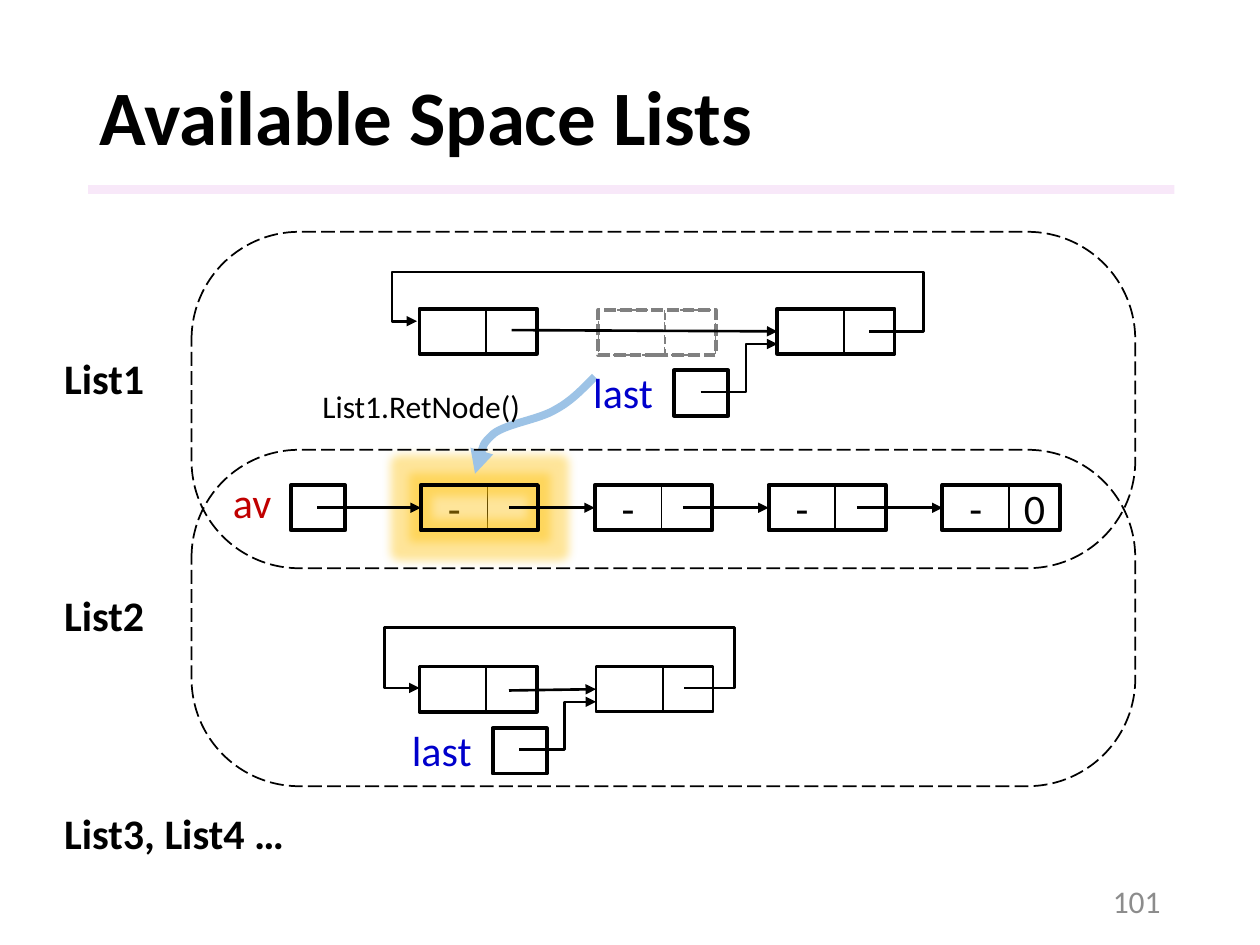
from lxml import etree
from pptx import Presentation
from pptx import util as u
from pptx.dml import color, line as dml
from pptx.enum import dml as kinds, shapes, text
from pptx.oxml import ns

DASH = kinds.MSO_LINE
SHAPE = shapes.MSO_SHAPE
ALIGN = text.PP_ALIGN
MID = text.MSO_ANCHOR.MIDDLE
CELL_H, DATA_W, LINK_W = 0.36, 0.53, 0.4
NODE_W = DATA_W + LINK_W


def rgb(code):
    return color.RGBColor.from_string(code)


def add(parent, tag, **attrs):
    return etree.SubElement(parent, ns.qn(tag), attrs)


def ink(line, hue, width, dash=None):
    line.color.rgb = rgb(hue)
    line.width = u.Pt(width)
    if dash:
        line.dash_style = dash


def head(shape):
    """Put an arrowhead at the end of a line or open path."""
    add(shape.line._get_or_add_ln(), "a:tailEnd", type="triangle")


def write(frame, words, size=24, hue="000000", bold=False, align=ALIGN.LEFT,
          anchor=text.MSO_ANCHOR.TOP, wrap=False, gap=None):
    frame.word_wrap = wrap
    frame.vertical_anchor = anchor
    para = frame.paragraphs[0]
    para.alignment = align
    para.line_spacing = gap
    run = para.add_run()
    run.text = words
    font = run.font
    font.name, font.size, font.bold = "Calibri", u.Pt(size), bold
    font.color.rgb = rgb(hue)


def label(slide, words, x, y, w, h=0.5, **style):
    box = slide.shapes.add_textbox(*map(u.Inches, (x, y, w, h)))
    write(box.text_frame, words, **style)


def box(slide, x, y, w, h, fill=None, hue="000000", width=None, dash=None,
        kind=SHAPE.RECTANGLE):
    shape = slide.shapes.add_shape(kind, *map(u.Inches, (x, y, w, h)))
    shape.shadow.inherit = False
    if fill:
        shape.fill.solid()
        shape.fill.fore_color.rgb = rgb(fill)
    else:
        shape.fill.background()
    if width:
        ink(shape.line, hue, width, dash)
    else:
        shape.line.fill.background()
    return shape


def node(slide, x, y, data="", link="", hue="000000", width=2.25,
         inner=None, outer=None):
    """Draw a data cell and a link cell; return the frame around them."""
    cells = ((x, DATA_W, data), (x + DATA_W, LINK_W, link))
    for left, wide, words in cells:
        cell = box(slide, left, y, wide, CELL_H, "FFFFFF", hue, 1, inner)
        if words:
            frame = cell.text_frame
            frame.margin_top = frame.margin_bottom = 0
            frame.margin_left = frame.margin_right = 0
            write(frame, words, align=ALIGN.CENTER, anchor=MID)
    return box(slide, x, y, NODE_W, CELL_H, None, hue, width, outer)


def start(slide, x, y):
    """Draw the single cell of a list pointer."""
    return box(slide, x, y, 0.43, CELL_H, width=2.25)


def arrow(slide, x, y, goal):
    """Draw an arrow from a point to the left side of a node."""
    x, y = u.Inches(x), u.Inches(y)
    line = slide.shapes.add_connector(shapes.MSO_CONNECTOR.STRAIGHT,
                                      x, y, goal.left, y)
    line.end_connect(goal, 1)
    ink(line.line, "000000", 1.5)
    head(line)
    add(line._element.spPr, "a:effectLst")


def route(slide, points, hue="000000", width=1.5, curve=False):
    """Draw an arrow through points, or as Bezier arcs if curve is set."""
    first, *rest = [(u.Inches(x), u.Inches(y)) for x, y in points]
    maker = slide.shapes.build_freeform(*first)
    maker.add_line_segments(rest, close=False)
    shape = maker.convert_to_shape()
    shape.shadow.inherit = False
    shape.fill.background()
    ink(shape.line, hue, width)
    head(shape)
    if curve:
        track = shape._element.spPr.find(".//" + ns.qn("a:path"))
        steps = track.findall(ns.qn("a:lnTo"))
        for i in range(0, len(steps), 3):
            arc = add(track, "a:cubicBezTo")
            for step in steps[i:i + 3]:
                arc.append(step[0])
                track.remove(step)


def tint(parent, hue, alpha):
    paint = add(parent, "a:srgbClr", val=hue)
    add(paint, "a:alpha", val=str(alpha * 1000))


def glow(shape):
    effects = shape._element.spPr.find(ns.qn("a:effectLst"))
    tint(add(effects, "a:glow", rad="139700"), "FFC000", 40)


def heading(slide):
    rule = box(slide, 0.7, 1.47, 8.62, 0.07, "F3D2F4")
    paint = rule._element.spPr.find(".//" + ns.qn("a:srgbClr"))
    add(paint, "a:alpha", val="50000")
    label(slide, "Available Space Lists", 0.69, 0.4, 8.62, 1.11, size=44,
          bold=True, anchor=MID, wrap=True, gap=0.9)
    label(slide, "101", 7.06, 6.95, 2.25, 0.4, size=18, hue="8C8C8C",
          align=ALIGN.RIGHT, anchor=MID, wrap=True)
    for words, y, w in (("List1", 2.75, 0.85), ("List2", 4.63, 0.85),
                        ("List3, List4 …", 6.36, 1.99)):
        label(slide, words, 0.41, y, w, bold=True)


def free_list(slide):
    top = 3.85
    start(slide, 2.31, top)
    chain = [node(slide, 3.34 + 1.38 * i, top, "-", "0" if i == 3 else "")
             for i in range(4)]
    glow(chain[0])
    arrow(slide, 2.52, top + CELL_H / 2, chain[0])
    for i, goal in enumerate(chain[1:]):
        arrow(slide, 4.04 + 1.38 * i, top + CELL_H / 2, goal)
    label(slide, "av", 1.75, 3.73, 0.51, hue="C00000")


def last(slide, x, y):
    """Draw the last pointer, its name and its arrow."""
    label(slide, "last", x - 0.74, y - 0.08, 0.68, hue="0000CC")
    start(slide, x, y)
    x, y = x + 0.21, y + 0.17
    route(slide, [(x, y), (x + 0.36, y), (x + 0.36, y - 0.38),
                  (x + 0.61, y - 0.38)])


def list_one(slide):
    route(slide, [(4.72, 2.99), (4.63, 3.08), (4.54, 3.18), (4.41, 3.25),
                  (4.28, 3.33), (4.03, 3.36), (3.92, 3.44),
                  (3.82, 3.53), (3.8, 3.65), (3.77, 3.76)],
          "9DC3E6", 4.5, curve=True)
    label(slide, "List1.RetNode()", 2.46, 3.02, 1.79, 0.4, size=18)
    node(slide, 3.33, 2.45)
    node(slide, 4.75, 2.46, hue="808080", inner=DASH.DASH,
         outer=DASH.SQUARE_DOT)
    goal = node(slide, 6.17, 2.45)
    arrow(slide, 4.06, 2.62, goal)
    route(slide, [(6.9, 2.63), (7.33, 2.63), (7.33, 2.16), (3.11, 2.16),
                  (3.11, 2.55), (3.31, 2.55)])
    last(slide, 5.35, 2.94)


def list_two(slide):
    node(slide, 3.33, 5.29)
    goal = node(slide, 4.73, 5.29, width=1.5)
    arrow(slide, 4.04, 5.48, goal)
    route(slide, [(5.43, 5.46), (5.83, 5.46), (5.83, 4.98), (3.05, 4.98),
                  (3.05, 5.46), (3.33, 5.46)])
    last(slide, 3.91, 5.78)


def main():
    deck = Presentation()
    deck.slide_width, deck.slide_height = u.Inches(10), u.Inches(7.5)
    slide = deck.slides.add_slide(deck.slide_layouts[6])
    heading(slide)
    free_list(slide)
    list_one(slide)
    list_two(slide)
    for y in (1.84, 3.57):
        group = box(slide, 1.52, y, 7.49, 2.67, width=1,
                    dash=DASH.LONG_DASH, kind=SHAPE.ROUNDED_RECTANGLE)
        group.adjustments[0] = 0.32
    deck.save("out.pptx")


if __name__ == "__main__":
    main()
